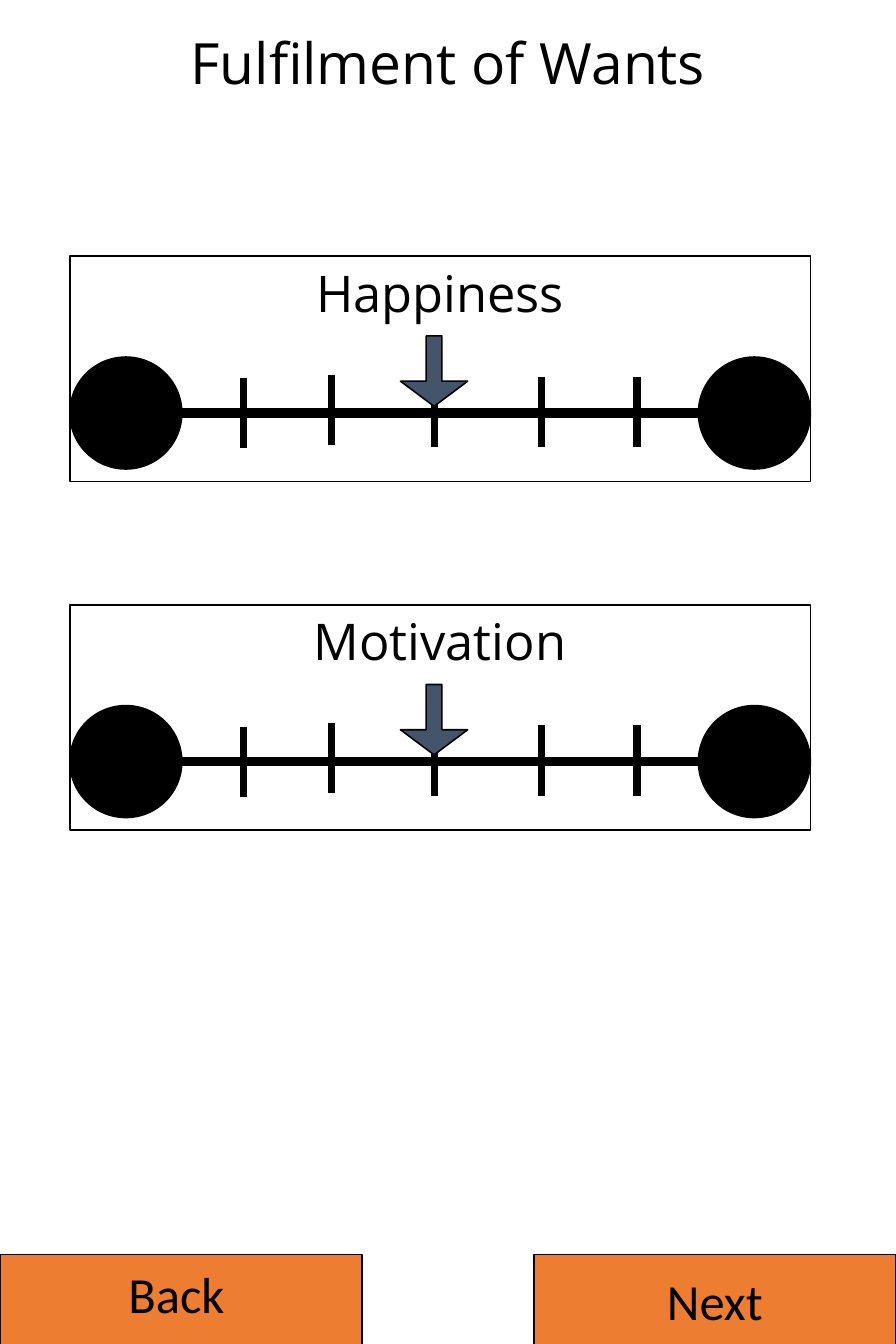
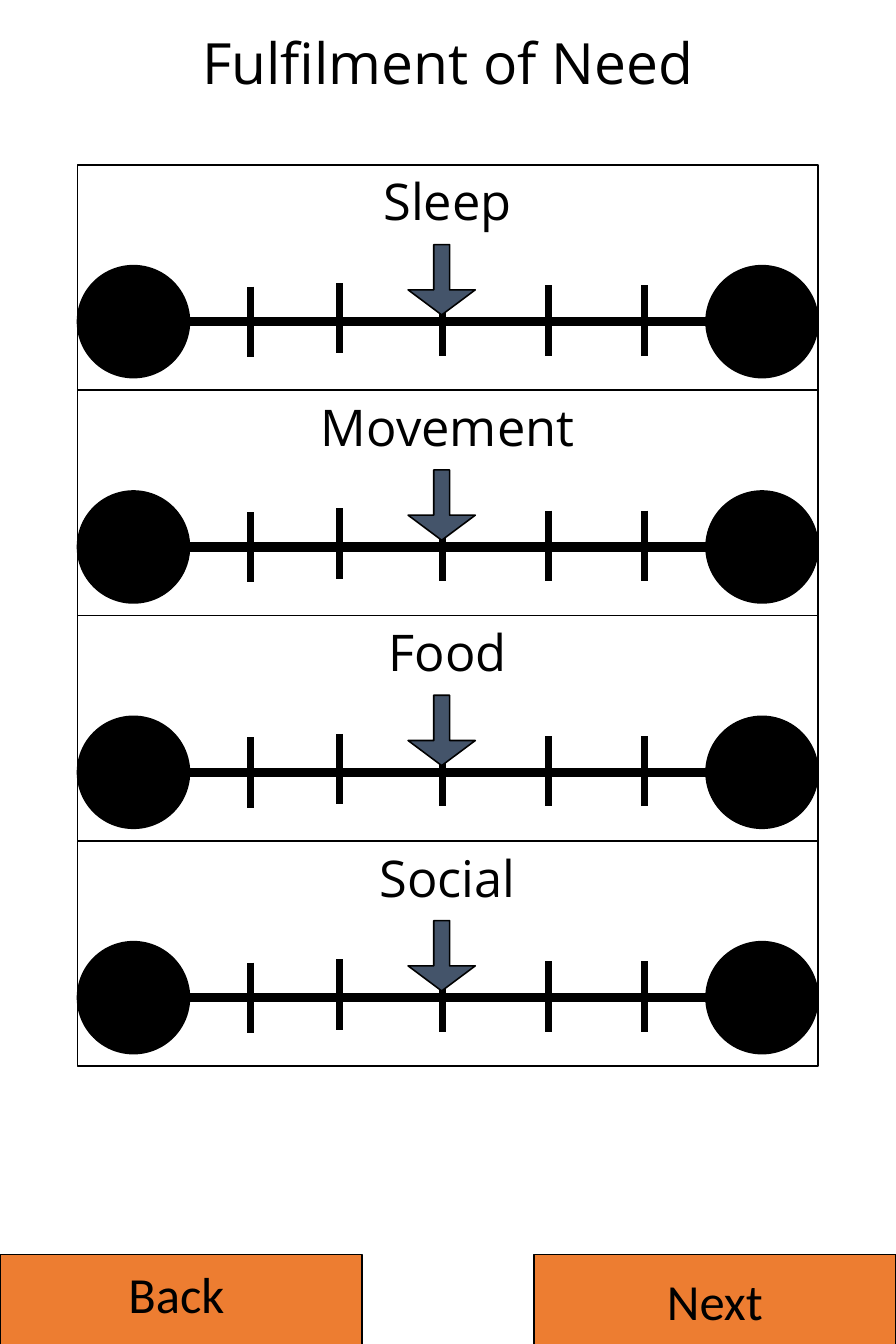
from pptx import Presentation
from pptx.dml.color import RGBColor
from pptx.enum.shapes import MSO_CONNECTOR as Conn, MSO_SHAPE as Geo
from pptx.enum.text import MSO_AUTO_SIZE as Fit, PP_ALIGN as Align
from pptx.oxml.ns import qn
from pptx.util import Cm, Pt
from lxml.etree import SubElement

WIDE, HIGH = 20, 30
INK = {"black": "000000", "white": "FFFFFF", "orange": "ED7D31", "slate": "44546A"}
PANEL_W, PANEL_H = 16.53, 5.03
DISC = 2.5
AXIS = 3.5
TICK = 1.57
TICKS = [(3.87, 2.72), (5.84, 2.64), (8.14, 2.69), (10.52, 2.69), (12.66, 2.69)]
BAR_W, BAR_H = 8.08, 2.08


def color(name):
    """Return the named colour."""
    return RGBColor.from_string(INK[name])


def shape(slide, geo, x, y, w, h, fill):
    """Add a filled preset shape with a thin black outline."""
    item = slide.shapes.add_shape(geo, Cm(x), Cm(y), Cm(w), Cm(h))
    item.shadow.inherit = False
    item.fill.solid()
    item.fill.fore_color.rgb = color(fill)
    item.line.color.rgb = color("black")
    item.line.width = Pt(1)
    return item


def line(slide, x1, y1, x2, y2, width):
    """Add a straight black line without a shadow."""
    item = slide.shapes.add_connector(Conn.STRAIGHT, Cm(x1), Cm(y1), Cm(x2), Cm(y2))
    item.line.color.rgb = color("black")
    item.line.width = Pt(width)
    SubElement(item._element.spPr, qn("a:effectLst"))


def text(slide, words, x, y, w, h, size=32, font="Open Sans", ink="black"):
    """Add one centred line of text."""
    frame = slide.shapes.add_textbox(Cm(x), Cm(y), Cm(w), Cm(h)).text_frame
    frame.word_wrap = True
    frame.auto_size = Fit.SHAPE_TO_FIT_TEXT
    para = frame.paragraphs[0]
    para.alignment = Align.CENTER
    run = para.add_run()
    run.text = words
    run.font.size = Pt(size)
    run.font.name = font
    run.font.color.rgb = color(ink)


def scale(slide, label, x, y):
    """Draw a labelled slider panel with its top left corner at x, y."""
    shape(slide, Geo.RECTANGLE, x, y, PANEL_W, PANEL_H, "white")
    far = x + PANEL_W - DISC
    for left in (x, far):
        shape(slide, Geo.OVAL, left, y + AXIS - DISC / 2, DISC, DISC, "black")
    line(slide, x + DISC, y + AXIS, far, y + AXIS, 6)
    for dx, dy in TICKS:
        line(slide, x + dx, y + dy, x + dx, y + dy + TICK, 4.5)
    arrow = shape(slide, Geo.DOWN_ARROW, x + 7.38, y + 1.78, 1.5, 1.57, "slate")
    arrow.adjustments[0] = 0.235
    arrow.adjustments[1] = 0.373
    text(slide, label, x + DISC, y, PANEL_W - 2 * DISC, 1.63)


def button(slide, label, x, dx, dy):
    """Draw a footer button at x, its label shifted by dx, dy."""
    top = HIGH - 2
    shape(slide, Geo.RECTANGLE, x, top, BAR_W, BAR_H, "orange")
    text(slide, label, x + dx, top + dy, 5.54, 1.63, font="Calibri")


def page(deck, title, labels, x, y, step):
    """Build a slide of sliders, stacked from x, y by step."""
    slide = deck.slides.add_slide(deck.slide_layouts[6])
    button(slide, "Next", WIDE - BAR_W, 1.27, 0.22)
    button(slide, "Back", 0, 1.17, 0.07)
    text(slide, title, 2.13, 0.5, 15.74, 1.8, size=36)
    for row, label in enumerate(labels):
        scale(slide, label, x, y + row * step)


deck = Presentation()
deck.slide_width, deck.slide_height = Cm(WIDE), Cm(HIGH)
page(deck, "Fulfilment of Wants", ["Happiness", "Motivation"], 1.56, 5.72, 7.78)
page(deck, "Fulfilment of Need", ["Sleep", "Movement", "Food", "Social"],
     1.73, 3.68, PANEL_H)
deck.save("out.pptx")
